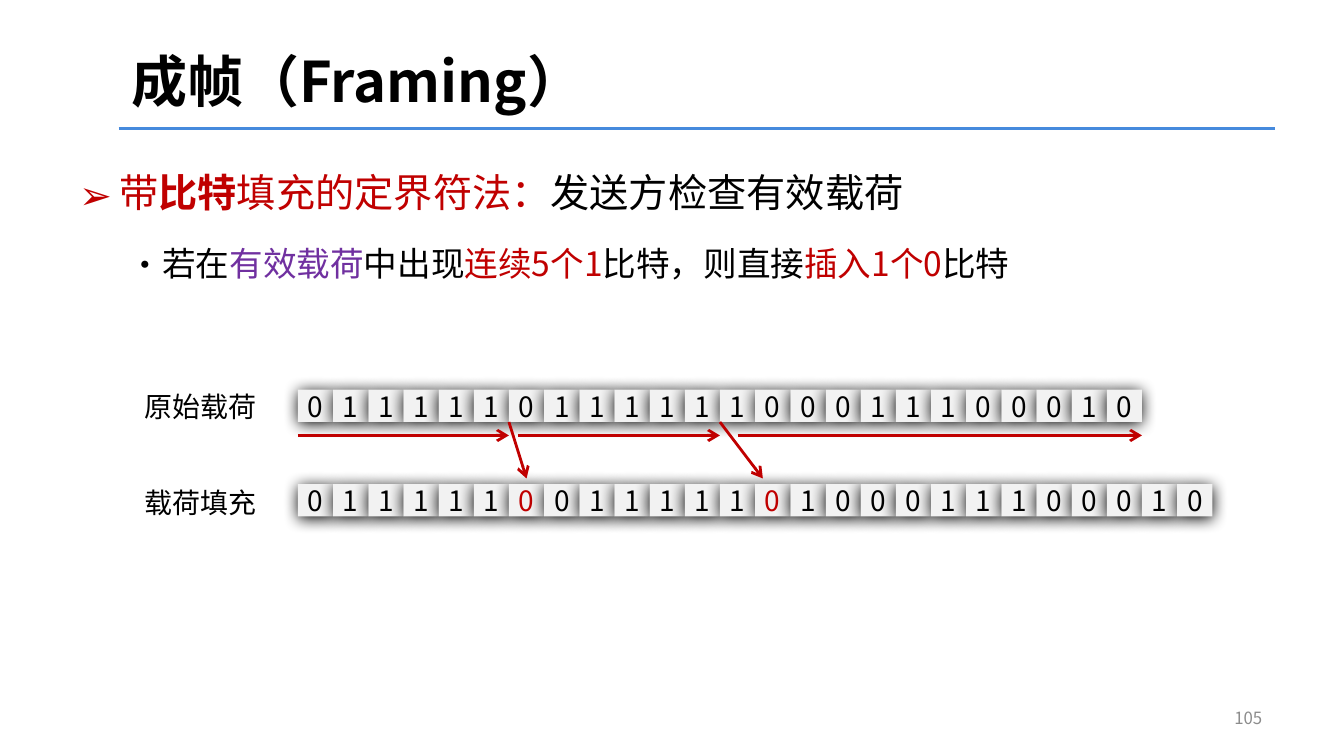
from dataclasses import dataclass
from typing import NamedTuple

from lxml.etree import SubElement
from pptx import Presentation
from pptx.dml.color import RGBColor
from pptx.enum.shapes import MSO_CONNECTOR, MSO_SHAPE
from pptx.enum.text import MSO_ANCHOR as Anchor, PP_ALIGN as Align
from pptx.oxml.ns import qn
from pptx.util import Inches, Pt

SLIDE_WIDTH = Inches(10)
SLIDE_HEIGHT = SLIDE_WIDTH * 9 // 16


@dataclass(frozen=True)
class Theme:
    font: str = "Noto Sans CJK SC"
    black: str = "000000"
    red: str = "C00000"
    purple: str = "7030A0"
    blue: str = "468ADD"
    gray: str = "8C8C8C"
    cell: str = "F2F2F2"
    title_size: float = 30
    topic_size: float = 21
    detail_size: float = 18
    diagram_size: float = 15
    number_size: float = 9
    rule_width: float = 2
    arrow_width: float = 1.5


THEME = Theme()


class Box(NamedTuple):
    """Left, top, width and height in percent of the slide."""
    left: float
    top: float
    width: float
    height: float


class Span(NamedTuple):
    text: str
    color: str = THEME.black
    bold: bool = False


class Bullet(NamedTuple):
    mark: str
    level: int
    margin: float
    hanging: float
    size: float
    space_before: float
    spans: list[Span]


class Arrow(NamedTuple):
    """Ends as bit columns and heights in percent of the slide."""
    start_column: float
    start_y: float
    end_column: float
    end_y: float


PAYLOAD = "011111011111100011100010"
RUN_LIMIT = 5
GRID_LEFT, GRID_RIGHT = 22.17, 84.97
COLUMN = (GRID_RIGHT - GRID_LEFT) / len(PAYLOAD)
CELL_HEIGHT = 4.27
PAYLOAD_Y, RUN_Y, STUFFED_Y = 51.56, 57.6, 64.05
PAYLOAD_BOTTOM, ARROW_TIP_Y = PAYLOAD_Y + CELL_HEIGHT, 63.3

BULLETS = [
    Bullet("➢", 0, 0.3, 0.3, THEME.topic_size, 0, [
        Span("带", THEME.red), Span("比特", THEME.red, True),
        Span("填充的定界符法：", THEME.red), Span("发送方检查有效载荷")]),
    Bullet("•", 1, 0.56, 0.19, THEME.detail_size, 9, [
        Span("若在"), Span("有效载荷", THEME.purple), Span("中出现"),
        Span("连续5个1", THEME.red), Span("比特，则直接"),
        Span("插入1个0", THEME.red), Span("比特")]),
]
INSERTIONS = [Arrow(6, PAYLOAD_BOTTOM, 6.5, ARROW_TIP_Y),
              Arrow(12, PAYLOAD_BOTTOM, 13.22, ARROW_TIP_Y)]
RUNS = [Arrow(start, RUN_Y, end, RUN_Y)
        for start, end in ((0, 6), (6.25, 12), (12.5, 24))]


def across(percent: float) -> int:
    return round(SLIDE_WIDTH * percent / 100)


def down(percent: float) -> int:
    return round(SLIDE_HEIGHT * percent / 100)


def place(box: Box) -> tuple[int, int, int, int]:
    return across(box.left), down(box.top), across(box.width), down(box.height)


def column_x(column: float) -> float:
    return GRID_LEFT + column * COLUMN


def add_span(paragraph, span: Span, size: float) -> None:
    run = paragraph.add_run()
    run.text = span.text
    run.font.size = Pt(size)
    run.font.bold = span.bold
    run.font.color.rgb = RGBColor.from_string(span.color)
    run.font.name = THEME.font
    SubElement(run.font._element, qn("a:ea"), typeface=THEME.font)


def add_label(slide, box: Box, span: Span, size: float,
              align=Align.LEFT, anchor=Anchor.TOP):
    frame = slide.shapes.add_textbox(*place(box)).text_frame
    frame.word_wrap = True
    frame.vertical_anchor = anchor
    paragraph = frame.paragraphs[0]
    paragraph.alignment = align
    add_span(paragraph, span, size)
    return paragraph


def add_bullets(slide, box: Box, bullets: list[Bullet]) -> None:
    frame = slide.shapes.add_textbox(*place(box)).text_frame
    frame.word_wrap = True
    for index, bullet in enumerate(bullets):
        paragraph = frame.add_paragraph() if index else frame.paragraphs[0]
        properties = paragraph._p.get_or_add_pPr()
        properties.set("marL", str(Inches(bullet.margin)))
        properties.set("indent", str(-Inches(bullet.hanging)))
        SubElement(properties, qn("a:buFont"), typeface=THEME.font)
        SubElement(properties, qn("a:buChar"), char=bullet.mark)
        paragraph.level = bullet.level
        paragraph.line_spacing = Pt(27)
        paragraph.space_before = Pt(bullet.space_before)
        for span in bullet.spans:
            add_span(paragraph, span, bullet.size)


def add_line(slide, start: tuple[float, float], end: tuple[float, float],
             color: str, width: float):
    line = slide.shapes.add_connector(
        MSO_CONNECTOR.STRAIGHT, across(start[0]), down(start[1]),
        across(end[0]), down(end[1]))
    line.line.color.rgb = RGBColor.from_string(color)
    line.line.width = Pt(width)
    SubElement(line._element.spPr, qn("a:effectLst"))
    return line


def add_arrow(slide, arrow: Arrow) -> None:
    line = add_line(slide, (column_x(arrow.start_column), arrow.start_y),
                    (column_x(arrow.end_column), arrow.end_y),
                    THEME.red, THEME.arrow_width)
    SubElement(line.line._get_or_add_ln(), qn("a:tailEnd"), type="arrow")


def add_glow(shape) -> None:
    """Give the shape a soft black shadow just below it."""
    shape.shadow.inherit = False
    effects = shape._element.spPr.find(qn("a:effectLst"))
    shadow = SubElement(effects, qn("a:outerShdw"), blurRad=str(Pt(8.5)),
                        dist=str(Pt(1)), dir="5400000", algn="t", rotWithShape="0")
    SubElement(shadow, qn("a:srgbClr"), val=THEME.black)


def add_bit_row(slide, top: float, bits: list[Span]) -> None:
    group = slide.shapes.add_group_shape()
    for column, bit in enumerate(bits):
        box = Box(column_x(column), top, COLUMN, CELL_HEIGHT)
        cell = group.shapes.add_shape(MSO_SHAPE.RECTANGLE, *place(box))
        cell.fill.solid()
        cell.fill.fore_color.rgb = RGBColor.from_string(THEME.cell)
        cell.line.fill.background()
        add_glow(cell)
        frame = cell.text_frame
        frame.word_wrap = False
        frame.margin_left = frame.margin_right = Inches(0.01)
        frame.vertical_anchor = Anchor.MIDDLE
        frame.paragraphs[0].alignment = Align.CENTER
        add_span(frame.paragraphs[0], bit, THEME.diagram_size)


def stuff_bits(payload: str) -> list[Span]:
    """Insert a red 0 after each full run of 1s."""
    bits, ones = [], 0
    for bit in payload:
        bits.append(Span(bit))
        ones = ones + 1 if bit == "1" else 0
        if ones == RUN_LIMIT:
            bits.append(Span("0", THEME.red))
            ones = 0
    return bits


def main() -> None:
    presentation = Presentation()
    presentation.slide_width, presentation.slide_height = SLIDE_WIDTH, SLIDE_HEIGHT
    slide = presentation.slides.add_slide(presentation.slide_layouts[6])

    add_line(slide, (8.83, 17), (94.9, 17), THEME.blue, THEME.rule_width)
    title = add_label(slide, Box(8.8, 4.8, 67.4, 12.8),
                      Span("成帧（Framing）", bold=True), THEME.title_size,
                      anchor=Anchor.MIDDLE)
    title.line_spacing = 0.9
    add_bullets(slide, Box(4.9, 21, 90, 68.3), BULLETS)
    add_label(slide, Box(72.4, 92.7, 22.5, 5.3), Span("105", THEME.gray),
              THEME.number_size, Align.RIGHT)

    for text, top in (("原始载荷", 50.7), ("载荷填充", 63.3)):
        add_label(slide, Box(9, top, 11.9, 6.2), Span(text),
                  THEME.diagram_size, Align.CENTER)
    add_bit_row(slide, PAYLOAD_Y, [Span(bit) for bit in PAYLOAD])
    add_bit_row(slide, STUFFED_Y, stuff_bits(PAYLOAD))
    for arrow in INSERTIONS + RUNS:
        add_arrow(slide, arrow)

    presentation.save("out.pptx")


if __name__ == "__main__":
    main()
